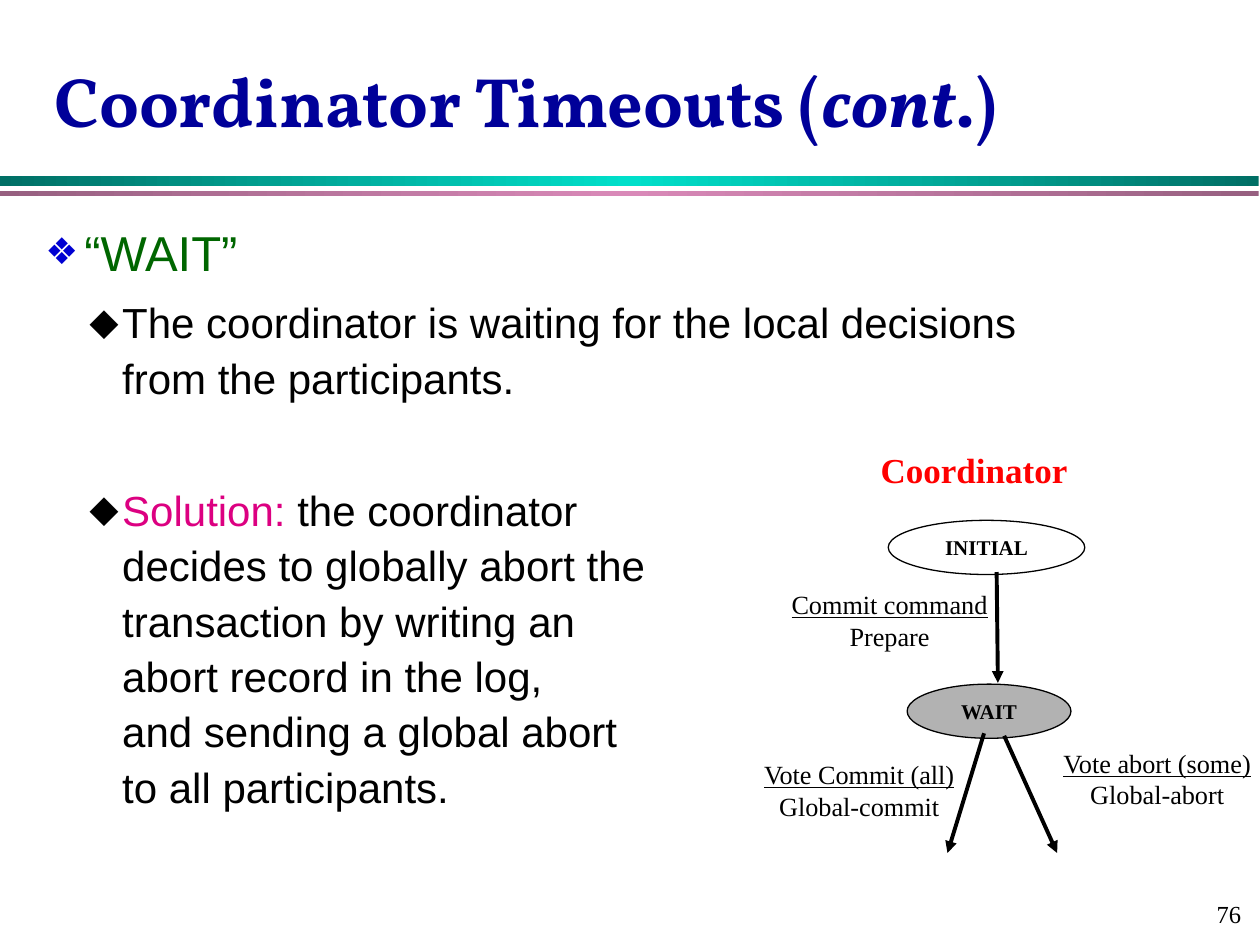
from copy import deepcopy
from pptx import Presentation
from pptx.dml.color import RGBColor
from pptx.enum.shapes import MSO_CONNECTOR as Link, MSO_SHAPE as Kind
from pptx.enum.text import MSO_ANCHOR as Anchor, MSO_AUTO_SIZE as Auto, PP_ALIGN as Align
from pptx.oxml.ns import qn
from pptx.util import Inches, Pt
from lxml.etree import SubElement

HUES = {"navy": "000099", "blue": "0000D2", "green": "006600", "pink": "DC0081",
        "black": "000000", "red": "FF0000", "gray": "B2B2B2",
        "teal": "006F65", "aqua": "00DFCA", "plum": "976080", "rose": "D989B8"}
SERIF = "Times New Roman"

TITLE = [("Coordinator Timeouts (", False), ("cont", True), (".)", False)]
BARS = [(1.4, 0.08, "teal", "aqua"), (1.52, 0.04, "plum", "rose")]
SOLVE = [" the coordinator", "decides to globally abort the", "transaction by writing an",
         "abort record in the log,", "and sending a global abort", "to all participants."]
BODY = [
    (0, 7, [("“WAIT”", "green")]),
    (1, 6, [("The coordinator is waiting for the local decisions from the participants.", "black")]),
    (1, 43.7, [("Solution:", "pink"), (SOLVE, "black")]),
]
LEVELS = [
    {"size": 28, "left": 0.4, "hang": -0.31, "mark": "❖", "hue": "blue", "pct": 75},
    {"size": 24, "left": 0.7, "hang": -0.26, "mark": "⬥", "hue": "black", "pct": 100},
]
STATES = [("INITIAL", 7.05, 4.13, 1.56, None), ("WAIT", 7.2, 5.43, 1.3, "gray")]
ARROWS = [(7.81, 5.82, 7.52, 6.77), (7.97, 5.84, 8.39, 6.77), (7.91, 4.54, 7.92, 5.42)]
LABELS = [("Commit command", "Prepare", 6.17, 4.62, 1.78),
          ("Vote Commit (all)", "Global-commit", 5.94, 5.97, 1.76),
          ("Vote abort (some)", "Global-abort", 8.32, 5.88, 1.73)]


def hue(name):
    return RGBColor.from_string(HUES[name])


def place(shape, *box):
    shape.left, shape.top, shape.width, shape.height = map(Inches, box)


def style(font, size, color="black", face=SERIF, bold=False):
    font.size, font.name, font.bold = Pt(size), face, bold
    font.color.rgb = hue(color)


def add_note(box, lines, size, color="black", align=Align.CENTER, bold=False):
    frame = slide.shapes.add_textbox(*map(Inches, box)).text_frame
    frame.word_wrap, frame.auto_size = False, Auto.SHAPE_TO_FIT_TEXT
    frame.text = "\n".join(lines)
    for par in frame.paragraphs:
        par.alignment = align
        style(par.font, size, color, bold=bold)
    return frame


def add_mark(par, level):
    props = par._p.get_or_add_pPr()
    props.set("marL", str(Inches(level["left"])))
    props.set("indent", str(Inches(level["hang"])))
    tint = SubElement(props, qn("a:buClr"))
    SubElement(tint, qn("a:srgbClr"), val=HUES[level["hue"]])
    SubElement(props, qn("a:buSzPct"), val=str(level["pct"] * 1000))
    SubElement(props, qn("a:buChar"), char=level["mark"])


deck = Presentation()
deck.slide_width, deck.slide_height = Inches(10), Inches(7.5)
slide = deck.slides.add_slide(deck.slide_layouts[1])
title, body = slide.placeholders

for top, high, edge, core in BARS:
    bar = slide.shapes.add_shape(Kind.RECTANGLE, Inches(0), Inches(top), Inches(9.99), Inches(high))
    bar.shadow.inherit = False
    bar.line.fill.background()
    bar.fill.gradient()
    bar.fill.gradient_angle = 0
    first = bar._element.find(".//" + qn("a:gs"))
    first.addnext(deepcopy(first))
    for stop, name, spot in zip(bar.fill.gradient_stops, (edge, core, edge), (0, 0.5, 1)):
        stop.color.rgb, stop.position = hue(name), spot

place(title, 0.33, 0.25, 9.25, 1.08)
frame = title.text_frame
frame.auto_size, frame.vertical_anchor = Auto.NONE, Anchor.MIDDLE
par = frame.paragraphs[0]
par.alignment = Align.LEFT
style(par.font, 40, "navy", "Vollkorn", True)
for text, slant in TITLE:
    run = par.add_run()
    run.text = text
    run.font.italic = slant

place(body, 0.17, 1.67, 8.2, 5.25)
frame = body.text_frame
frame.auto_size, frame.vertical_anchor = Auto.NONE, Anchor.TOP
for i, (depth, gap, parts) in enumerate(BODY):
    par = frame.add_paragraph() if i else frame.paragraphs[0]
    level = LEVELS[depth]
    par.level, par.line_spacing, par.space_before = depth, 1.1, Pt(gap)
    par.alignment = Align.LEFT
    add_mark(par, level)
    for text, color in parts:
        lines = [text] if isinstance(text, str) else text
        for j, line in enumerate(lines):
            if j:
                par.add_line_break()
            run = par.add_run()
            run.text = line
            style(run.font, level["size"], color, "Arial")

for text, left, top, wide, fill in STATES:
    oval = slide.shapes.add_shape(Kind.OVAL, Inches(left), Inches(top), Inches(wide), Inches(0.43))
    oval.shadow.inherit = False
    oval.line.color.rgb, oval.line.width = hue("black"), Pt(0.74)
    if fill:
        oval.fill.solid()
        oval.fill.fore_color.rgb = hue(fill)
    else:
        oval.fill.background()
    frame = oval.text_frame
    frame.text, frame.vertical_anchor = text, Anchor.MIDDLE
    par = frame.paragraphs[0]
    par.alignment = Align.CENTER
    style(par.font, 12, bold=True)

for ends in ARROWS:
    arrow = slide.shapes.add_connector(Link.STRAIGHT, *map(Inches, ends))
    arrow.line.color.rgb, arrow.line.width = hue("black"), Pt(2.24)
    SubElement(arrow.line._get_or_add_ln(), qn("a:tailEnd"), type="triangle")
    SubElement(arrow._element.spPr, qn("a:effectLst"))

for event, action, left, top, wide in LABELS:
    note = add_note((left, top, wide, 0.6), (event, action), 15)
    note.paragraphs[0].runs[0].font.underline = True

add_note((6.89, 3.51, 1.72, 0.44), ["Coordinator"], 20, "red", Align.LEFT, True)
page = add_note((7.92, 7, 2.08, 0.5), ["76"], 14, align=Align.RIGHT)
page.auto_size, page.vertical_anchor = Auto.NONE, Anchor.MIDDLE
page.margin_right = Inches(0.15)

deck.save("out.pptx")
